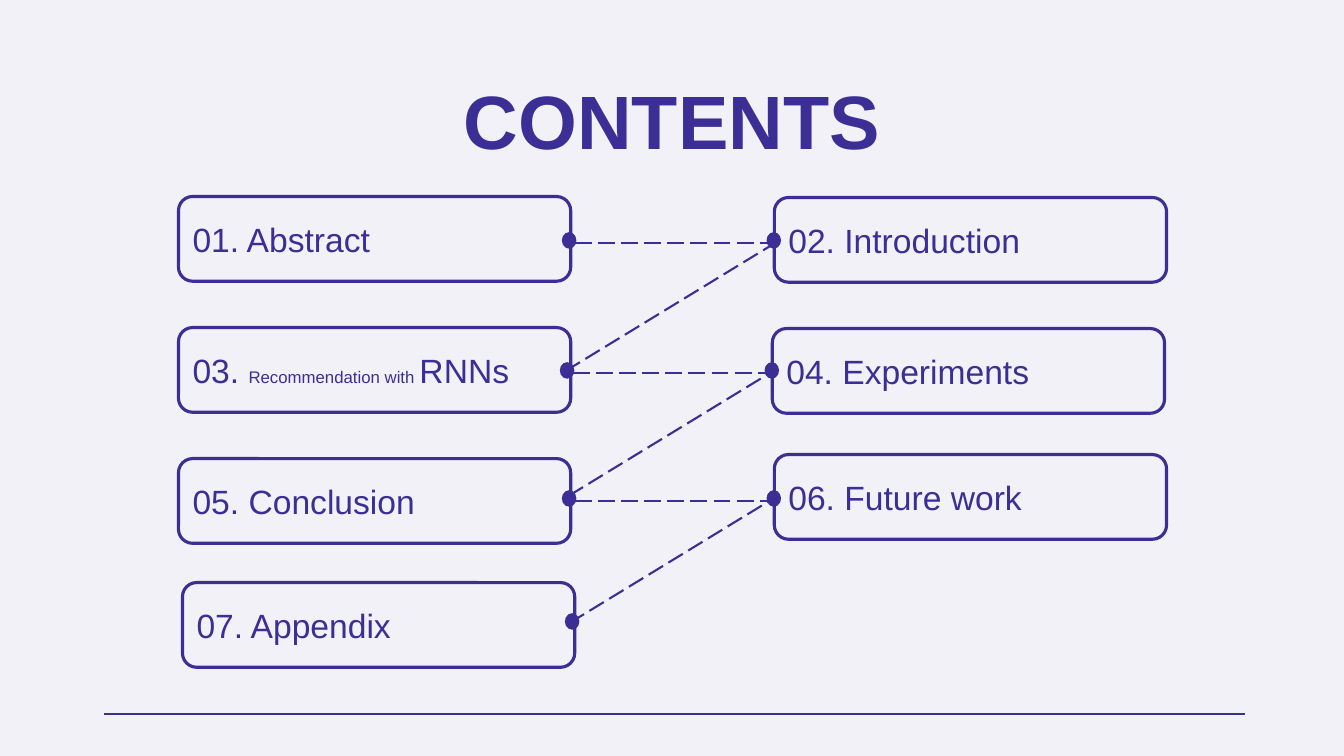
from dataclasses import dataclass

from lxml.etree import SubElement
from pptx import Presentation
from pptx.dml.color import RGBColor
from pptx.enum.dml import MSO_LINE
from pptx.enum.shapes import MSO_CONNECTOR, MSO_SHAPE
from pptx.enum.text import MSO_ANCHOR, MSO_AUTO_SIZE, PP_ALIGN
from pptx.oxml.ns import qn
from pptx.util import Inches, Pt


@dataclass(frozen=True)
class Theme:
    ink: RGBColor = RGBColor(0x3B, 0x2F, 0x95)
    paper: RGBColor = RGBColor(0xF2, 0xF1, 0xF7)
    font: str = "Arial"
    title: int = 54
    item: int = 24
    small: int = 12


def apply(obj, fmt):
    for name, value in fmt.items():
        setattr(obj, name, value)


class SlideBuilder:
    def __init__(self, slide, theme):
        self.s = slide
        self.theme = theme
        bg = slide.background.fill
        bg.solid()
        bg.fore_color.rgb = theme.paper

    def add_runs(self, p, runs, bold=False):
        for text, size in runs:
            r = p.add_run()
            r.text = text
            apply(r.font, {"name": self.theme.font, "size": Pt(size), "bold": bold})
            r.font.color.rgb = self.theme.ink

    def title(self, text, left, top, width, height):
        box = self.s.shapes.add_textbox(
            Inches(left), Inches(top), Inches(width), Inches(height))
        tf = box.text_frame
        apply(tf, {"word_wrap": True, "auto_size": MSO_AUTO_SIZE.SHAPE_TO_FIT_TEXT})
        p = tf.paragraphs[0]
        apply(p, {"alignment": PP_ALIGN.CENTER, "line_spacing": 1.5})
        self.add_runs(p, [(text, self.theme.title)], bold=True)

    def shape(self, kind, left, top, width, height, weight):
        sp = self.s.shapes.add_shape(
            kind, Inches(left), Inches(top), Inches(width), Inches(height))
        sp.shadow.inherit = False
        sp.line.color.rgb = self.theme.ink
        sp.line.width = Pt(weight)
        return sp

    def item(self, runs, left, top):
        sp = self.shape(MSO_SHAPE.ROUNDED_RECTANGLE, left, top, 3.89, 0.84, 2.25)
        sp.fill.background()
        tf = sp.text_frame
        apply(tf, {"word_wrap": True, "vertical_anchor": MSO_ANCHOR.MIDDLE})
        p = tf.paragraphs[0]
        p.alignment = PP_ALIGN.LEFT
        self.add_runs(p, runs)

    def dot(self, left, top):
        sp = self.shape(MSO_SHAPE.OVAL, left, top, 0.13, 0.15, 1)
        sp.fill.solid()
        sp.fill.fore_color.rgb = self.theme.ink

    def line(self, x, y, run, rise=0, dash=None):
        cx = self.s.shapes.add_connector(
            MSO_CONNECTOR.STRAIGHT,
            Inches(x), Inches(y), Inches(x + run), Inches(y - rise))
        cx.line.color.rgb = self.theme.ink
        apply(cx.line, {"width": Pt(1.5), "dash_style": dash})
        SubElement(cx._element.spPr, qn("a:effectLst"))


def main():
    theme = Theme()
    prs = Presentation()
    apply(prs, {"slide_width": Inches(13.33), "slide_height": Inches(7.5)})
    s = SlideBuilder(prs.slides.add_slide(prs.slide_layouts[6]), theme)

    # Heading and footer rule
    s.title("CONTENTS", 3.33, 0.23, 6.67, 1.3)
    s.line(1.03, 7.08, 11.32)

    # Agenda boxes: runs, left, top
    items = [
        ([("01. Abstract", theme.item)], 1.77, 1.95),
        ([("02. Introduction", theme.item)], 7.68, 1.96),
        ([("03. ", theme.item), ("Recommendation with ", theme.small),
          ("RNNs", theme.item)], 1.77, 3.25),
        ([("04. Experiments", theme.item)], 7.66, 3.26),
        ([("05. Conclusion", theme.item)], 1.77, 4.55),
        ([("06. Future work", theme.item)], 7.68, 4.51),
        ([("07. Appendix", theme.item)], 1.81, 5.78),
    ]
    for runs, left, top in items:
        s.item(runs, left, top)

    # Links across each row, with a dot at both ends
    for left, top in [(5.58, 2.31), (5.56, 3.6), (5.58, 4.87)]:
        s.dot(left, top)
        s.line(left + 0.12, top + 0.1, 2.01, dash=MSO_LINE.LONG_DASH)
        s.dot(left + 2.03, top)

    # Links from each row up to the one above
    s.dot(5.61, 6.09)
    for x, y in [(5.61, 3.68), (5.64, 4.92), (5.65, 6.18)]:
        s.line(x, y, 2.03, rise=1.24, dash=MSO_LINE.LONG_DASH)

    prs.save("out.pptx")


if __name__ == "__main__":
    main()
